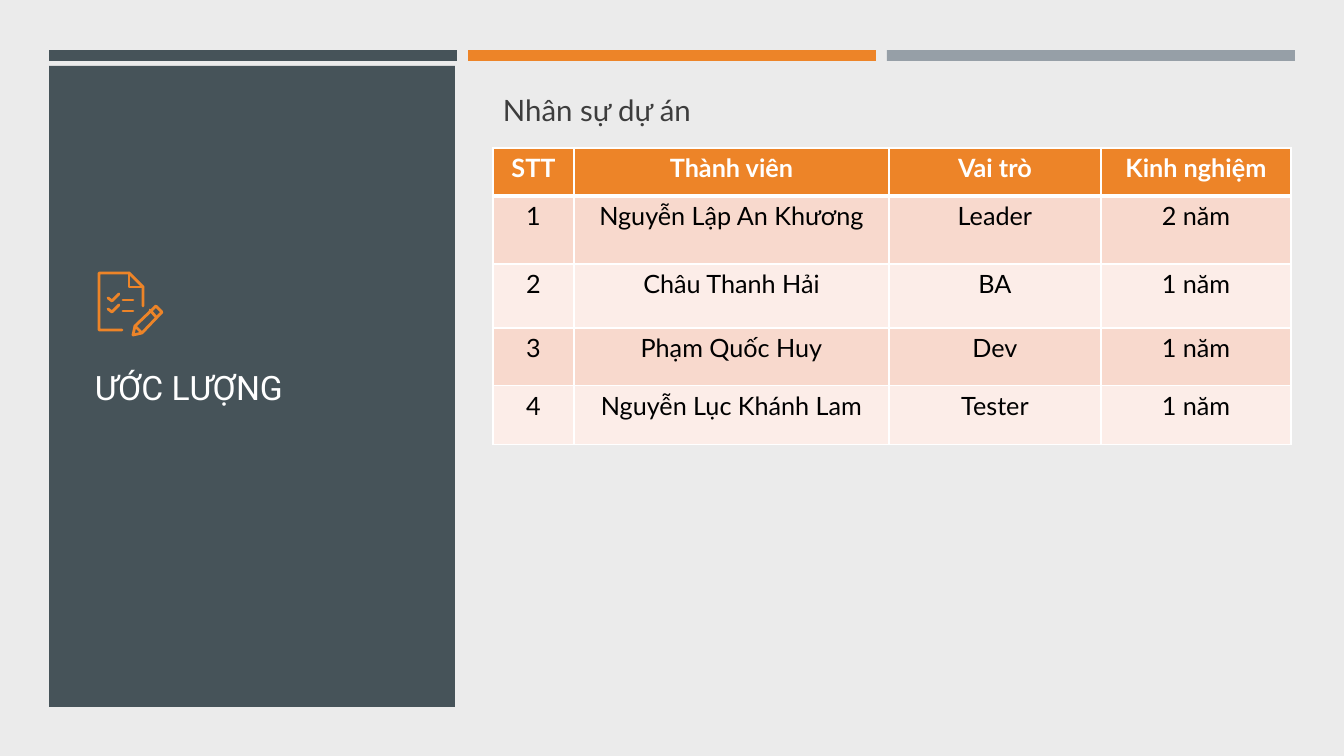
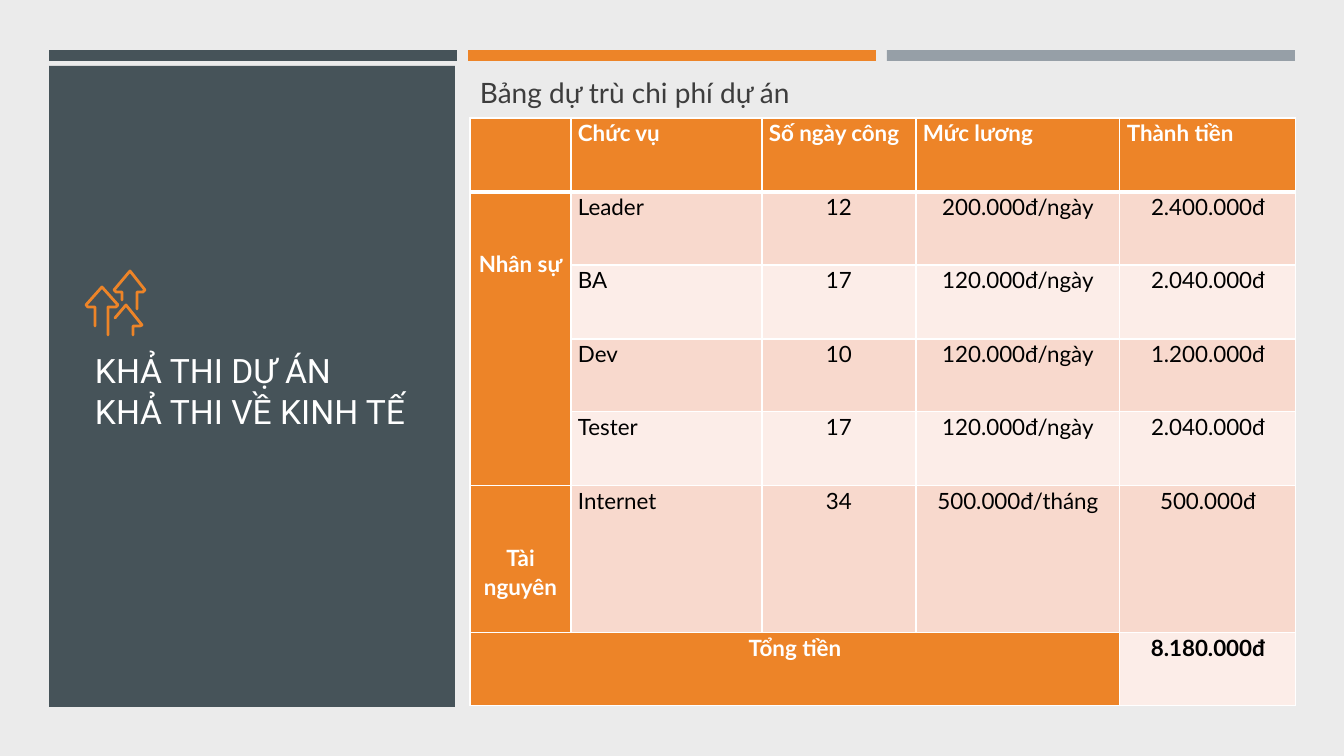
from lxml.etree import SubElement
from pptx import Presentation
from pptx.dml.color import RGBColor as Rgb
from pptx.enum.shapes import MSO_SHAPE as Kind
from pptx.enum.text import MSO_ANCHOR as Anchor, PP_ALIGN as Align
from pptx.oxml.ns import qn
from pptx.util import Pt

PX = 914400 / 100.8
HUES = {
    "back": "EBEBEB", "slate": "465359", "orange": "ED8428", "gray": "969FA7",
    "white": "FFFFFF", "ink": "3D3D3D", "black": "000000",
    "odd": "F8D9CD", "even": "FCEDE8",
}


def px(num):
    return round(num * PX)


def hue(name):
    return Rgb.from_string(HUES[name])


def paint(fill, name):
    fill.solid()
    fill.fore_color.rgb = hue(name)


def write(frame, text, size=18, font="Lato", color="black", bold=False,
          align=Align.LEFT, space=None, after=None):
    """Put text in a frame; a vertical tab breaks the line."""
    para = frame.paragraphs[0]
    para.text = text
    para.alignment = align
    para.line_spacing = space
    para.space_after = after
    for run in para.runs:
        run.font.size = Pt(size)
        run.font.name = font
        run.font.bold = bold
        run.font.color.rgb = hue(color)


def edge(cell, thick):
    """Draw white borders, 3 pt on the sides named in thick and 1 pt elsewhere."""
    props = cell._tc.get_or_add_tcPr()
    for side in "LRTB":
        width = Pt(3 if side in thick else 1)
        line = SubElement(props, qn("a:ln" + side), w=str(width))
        solid = SubElement(line, qn("a:solidFill"))
        SubElement(solid, qn("a:srgbClr"), val=HUES["white"])


class Deck:
    def __init__(self):
        self.prs = Presentation()
        self.prs.slide_width = px(1344)
        self.prs.slide_height = px(756)
        paint(self.prs.slide_master.background.fill, "back")
        self.slide = None

    def page(self, title, high):
        """Start a slide with its bands, side panel and title."""
        self.slide = self.prs.slides.add_slide(self.prs.slide_layouts[6])
        for i, name in enumerate(("slate", "orange", "gray")):
            self.rect(49 + 419 * i, 50, 408, 11, name)
        self.rect(49, 66, 406, 641, "slate")
        self.text(85, 292, 370, high, title, Anchor.MIDDLE,
                  size=24, font="Roboto", color="white")

    def rect(self, x, y, w, h, name):
        box = self.slide.shapes.add_shape(Kind.RECTANGLE, px(x), px(y), px(w), px(h))
        box.shadow.inherit = False
        paint(box.fill, name)
        box.line.fill.background()

    def text(self, x, y, w, h, text, anchor=Anchor.TOP, **form):
        frame = self.slide.shapes.add_textbox(px(x), px(y), px(w), px(h)).text_frame
        frame.word_wrap = True
        frame.vertical_anchor = anchor
        write(frame, text, **form)

    def stroke(self, *points, close=False):
        """Draw a round-capped orange outline through the points."""
        pen = self.slide.shapes.build_freeform(*points[0], scale=PX)
        pen.add_line_segments(points[1:], close=close)
        shape = pen.convert_to_shape()
        shape.shadow.inherit = False
        shape.fill.background()
        paint(shape.line.fill, "orange")
        shape.line.width = Pt(2)
        shape.element.spPr.find(qn("a:ln")).set("cap", "rnd")

    def table(self, x, y, cols, rows, data, pad, size, heads=(), spans=(),
              drops=(), bold=(), left=(), space=None):
        """heads, drops, bold and left hold (row, column) cells; drops start lower."""
        grid = self.slide.shapes.add_table(
            len(rows), len(cols), px(x), px(y), px(sum(cols)), px(sum(rows))).table
        for col, wide in zip(grid.columns, cols):
            col.width = px(wide)
        for row, high in zip(grid.rows, rows):
            row.height = px(high)
        for r, line in enumerate(data):
            for c, text in enumerate(line):
                cell, spot = grid.cell(r, c), (r, c)
                head = r == 0 or spot in heads
                edge(cell, {0: "B", 1: "T"}.get(r, ""))
                paint(cell.fill, "orange" if head else "odd" if r % 2 else "even")
                cell.margin_left = cell.margin_right = px(pad[0])
                cell.margin_top = px(57 if spot in drops else pad[1])
                cell.margin_bottom = px(pad[1])
                if text:
                    write(cell.text_frame, text, size=size, space=space,
                          color="white" if head else "black",
                          bold=head or spot in bold,
                          align=Align.LEFT if spot in left else Align.CENTER)
        for r, c, last, end in spans:
            grid.cell(r, c).merge(grid.cell(last, end))


def staff(deck):
    deck.page("ƯỚC LƯỢNG", 190)
    deck.text(493, 87, 797, 61, "Nhân sự dự án", size=21, color="ink", after=Pt(6))
    # Checklist page, then its ticks and lines, then the pencil
    deck.stroke((122, 330), (99, 330), (99, 273), (129, 273), (143, 287), (143, 306))
    deck.stroke((129, 273), (129, 287), (143, 287))
    for y in (300, 311):
        deck.stroke((108, y - 2), (112, y + 1), (119, y - 6))
        deck.stroke((123, y), (133, y))
    deck.stroke((133, 335), (135, 326), (156, 306), (162, 312), (142, 333), close=True)
    deck.stroke((150, 310), (156, 317))
    deck.stroke((135, 326), (142, 333))
    deck.table(493, 148, (81, 315, 212, 190), (48, 68, 64, 58, 59), [
        ("STT", "Thành viên", "Vai trò", "Kinh nghiệm"),
        ("1", "Nguyễn Lập An Khương", "Leader", "2 năm"),
        ("2", "Châu Thanh Hải", "BA", "1 năm"),
        ("3", "Phạm Quốc Huy", "Dev", "1 năm"),
        ("4", "Nguyễn Lục Khánh Lam", "Tester", "1 năm"),
    ], pad=(10, 5), size=18)


def cost(deck):
    deck.page("KHẢ THI DỰ ÁN\vKHẢ THI VỀ KINH TẾ", 197)
    deck.text(470, 71, 826, 47, "Bảng dự trù chi phí dự án",
              size=20, color="ink", after=Pt(6))
    # Three rising arrows
    deck.stroke((95, 326), (95, 307), (88, 307), (86, 305), (102, 287),
                (118, 305), (116, 307), (108, 307), (108, 335))
    deck.stroke((122, 300), (122, 292), (116, 292), (114, 290), (130, 271),
                (145, 290), (143, 292), (137, 292), (137, 309))
    deck.stroke((115, 318), (126, 305), (142, 325), (140, 326), (133, 326), (133, 335))
    side = [(r, 0) for r in range(1, 6)]
    total = [(6, c) for c in range(4)]
    deck.table(470, 118, (101, 191, 154, 204, 176), (74, 73, 74, 73, 74, 147, 73), [
        ("", "Chức vụ", "Số ngày công", "Mức lương", "Thành tiền"),
        ("Nhân sự", "Leader", "12", "200.000đ/ngày", "2.400.000đ"),
        ("", "BA", "17", "120.000đ/ngày", "2.040.000đ"),
        ("", "Dev", "10", "120.000đ/ngày", "1.200.000đ"),
        ("", "Tester", "17", "120.000đ/ngày", "2.040.000đ"),
        ("Tài nguyên", "Internet", "34", "500.000đ/tháng", "500.000đ"),
        ("Tổng tiền", "", "", "", "8.180.000đ"),
    ], pad=(7, 0), size=16, space=1.07, heads=side + total,
        spans=[(1, 0, 4, 0), (6, 0, 6, 3)], drops=[(1, 0), (5, 0)], bold=[(6, 4)],
        left=[(0, c) for c in range(5)] + [(r, 1) for r in range(1, 6)])


def main():
    deck = Deck()
    staff(deck)
    cost(deck)
    deck.prs.save("out.pptx")


if __name__ == "__main__":
    main()
